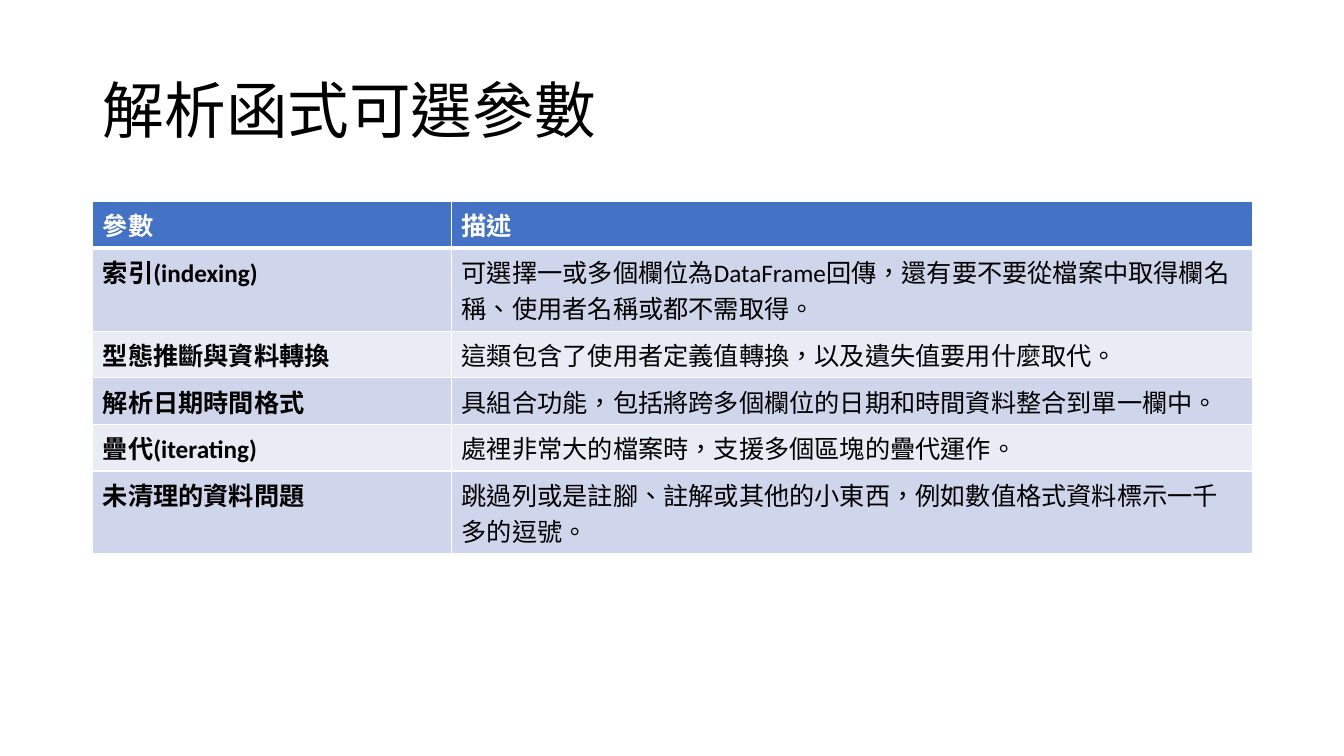
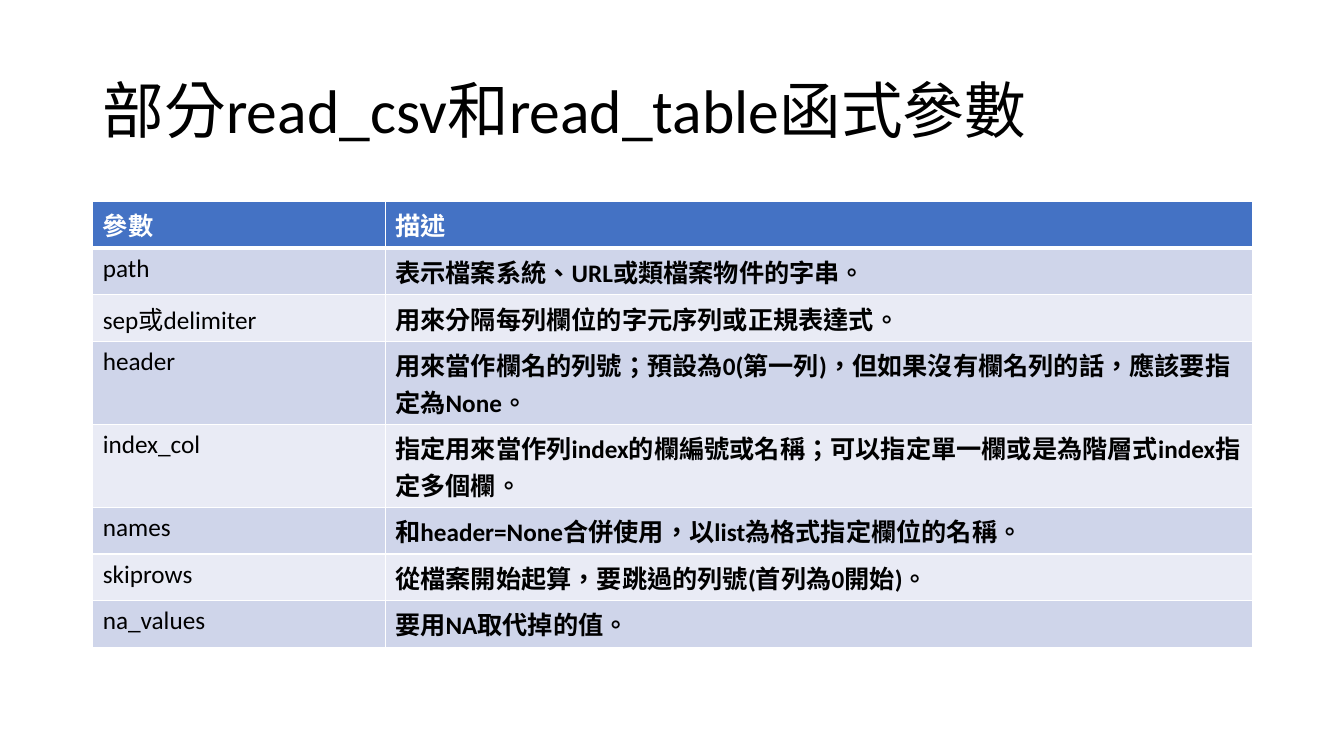
from lxml.etree import SubElement
from pptx import Presentation
from pptx.dml.color import RGBColor
from pptx.enum.lang import MSO_LANGUAGE_ID
from pptx.enum.text import MSO_ANCHOR, MSO_AUTO_SIZE, PP_ALIGN
from pptx.oxml.ns import qn
from pptx.util import Inches, Pt

# Shared style
FONT = "Calibri"
BLACK, WHITE, HEADER = "000000", "FFFFFF", "4472C4"
BANDS = ("CFD5EA", "E9EBF5")
TITLE_BOX = (0.92, 0.4, 11.5, 1.45)
TABLE_BOX = (0.92, 2, 11.5)
ROW_HEIGHT = 0.41
HEADINGS = ("參數", "描述")


def color(value):
    return RGBColor.from_string(value)


def format_runs(paragraph, size, text_color, bold=False):
    for run in paragraph.runs:
        font = run.font
        font.name, font.size, font.bold = FONT, Pt(size), bold
        font.color.rgb = color(text_color)
        font.language_id = MSO_LANGUAGE_ID.TRADITIONAL_CHINESE


def add_borders(cell, top, bottom):
    """Draw white cell borders; widths are in points."""
    properties = cell._tc.get_or_add_tcPr()
    for side, width in (("L", 1), ("R", 1), ("T", top), ("B", bottom)):
        line = SubElement(properties, qn(f"a:ln{side}"), w=str(Pt(width)))
        fill = SubElement(line, qn("a:solidFill"))
        SubElement(fill, qn("a:srgbClr"), val=WHITE)


def add_title(slide, text, box):
    title = slide.shapes.title
    title.left, title.top, title.width, title.height = map(Inches, box)
    text_frame = title.text_frame
    text_frame.text = text
    text_frame.auto_size = MSO_AUTO_SIZE.NONE
    text_frame.vertical_anchor = MSO_ANCHOR.MIDDLE
    paragraph = text_frame.paragraphs[0]
    paragraph.alignment, paragraph.line_spacing = PP_ALIGN.LEFT, 0.9
    format_runs(paragraph, 44, BLACK)


def add_parameter_table(slide, rows, box, name_width, bold_column):
    left, top, width = box
    rows = [HEADINGS, *rows]
    table = slide.shapes.add_table(
        len(rows), len(HEADINGS), Inches(left), Inches(top),
        Inches(width), Inches(ROW_HEIGHT * len(rows))).table
    table.columns[0].width = Inches(name_width)
    table.columns[1].width = Inches(width - name_width)

    for row_index, texts in enumerate(rows):
        is_header = row_index == 0
        band = HEADER if is_header else BANDS[(row_index - 1) % 2]
        for column_index, text in enumerate(texts):
            cell = table.cell(row_index, column_index)
            # The rule below the header is thicker than the others
            add_borders(cell, top=3 if row_index == 1 else 1,
                        bottom=3 if is_header else 1)
            cell.fill.solid()
            cell.fill.fore_color.rgb = color(band)
            cell.text_frame.text = text
            format_runs(cell.text_frame.paragraphs[0], 18,
                        WHITE if is_header else BLACK,
                        is_header or column_index == bold_column)


def add_table_slide(presentation, title, rows, name_width, bold_column):
    slide = presentation.slides.add_slide(presentation.slide_layouts[5])
    add_title(slide, title, TITLE_BOX)
    add_parameter_table(slide, rows, TABLE_BOX, name_width, bold_column)


# Slide contents
PARSING_OPTIONS = [
    ("索引(indexing)",
     "可選擇一或多個欄位為DataFrame回傳，還有要不要從檔案中取得欄名稱、使用者名稱或都不需取得。"),
    ("型態推斷與資料轉換", "這類包含了使用者定義值轉換，以及遺失值要用什麼取代。"),
    ("解析日期時間格式", "具組合功能，包括將跨多個欄位的日期和時間資料整合到單一欄中。"),
    ("疊代(iterating)", "處裡非常大的檔案時，支援多個區塊的疊代運作。"),
    ("未清理的資料問題",
     "跳過列或是註腳、註解或其他的小東西，例如數值格式資料標示一千多的逗號。"),
]
READ_ARGUMENTS = [
    ("path", "表示檔案系統、URL或類檔案物件的字串。"),
    ("sep或delimiter", "用來分隔每列欄位的字元序列或正規表達式。"),
    ("header",
     "用來當作欄名的列號；預設為0(第一列)，但如果沒有欄名列的話，應該要指定為None。"),
    ("index_col",
     "指定用來當作列index的欄編號或名稱；可以指定單一欄或是為階層式index指定多個欄。"),
    ("names", "和header=None合併使用，以list為格式指定欄位的名稱。"),
    ("skiprows", "從檔案開始起算，要跳過的列號(首列為0開始)。"),
    ("na_values", "要用NA取代掉的值。"),
]

presentation = Presentation()
presentation.slide_width, presentation.slide_height = Inches(13.33), Inches(7.5)
add_table_slide(presentation, "解析函式可選參數", PARSING_OPTIONS,
                name_width=3.56, bold_column=0)
add_table_slide(presentation, "部分read_csv和read_table函式參數", READ_ARGUMENTS,
                name_width=2.9, bold_column=1)
presentation.save("out.pptx")
